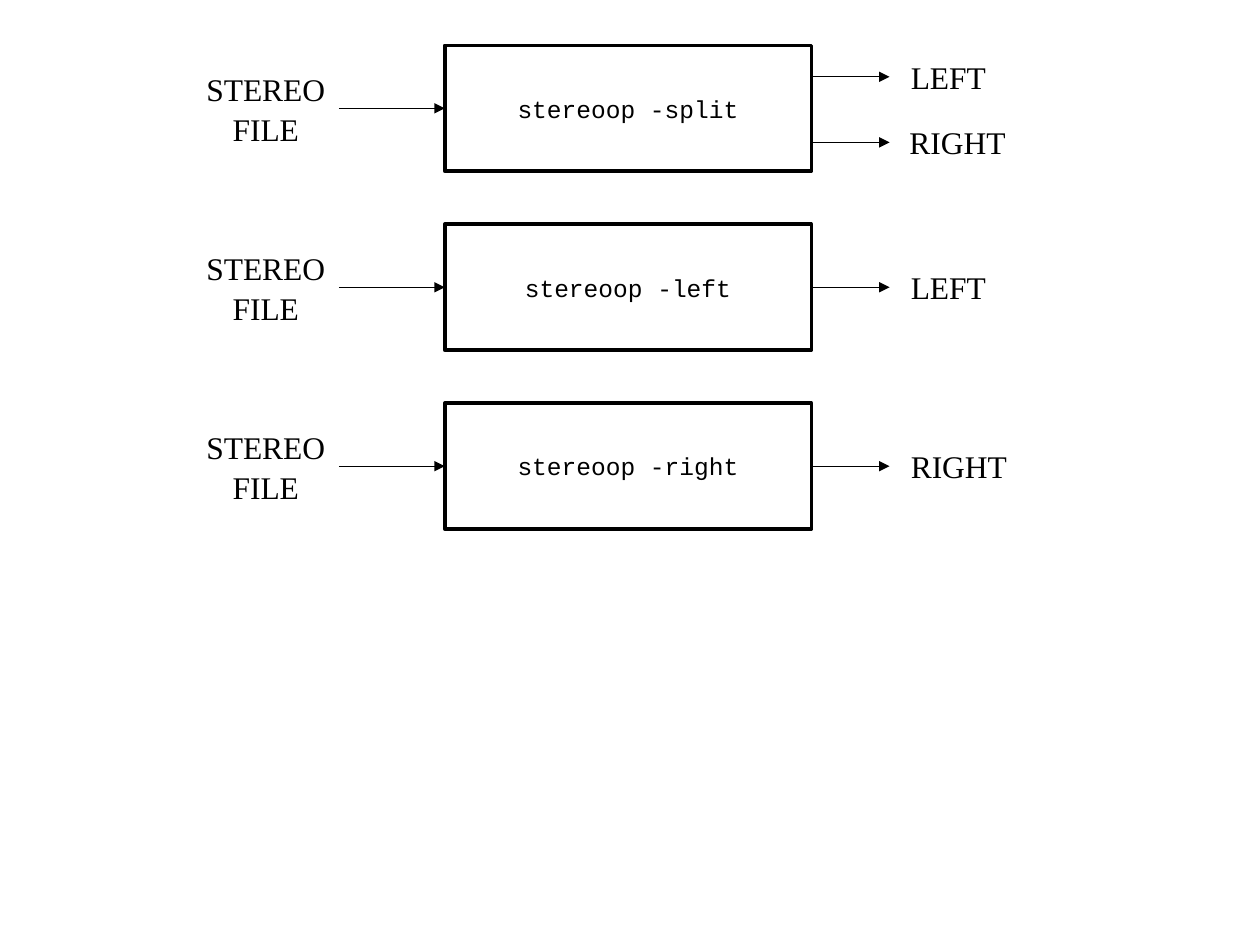
import pptx
import pptx.util
import pptx.dml.color
import pptx.enum.shapes
import pptx.enum.text
import pptx.oxml.ns
import lxml.etree

Inches = pptx.util.Inches
Pt = pptx.util.Pt
qn = pptx.oxml.ns.qn

FLOWS = [
    ("stereoop -split", [("LEFT", 7.13, 0.81, -0.25), ("RIGHT", 7.12, 0.97, 0.27)]),
    ("stereoop -left", [("LEFT", 7.13, 0.81, 0)]),
    ("stereoop -right", [("RIGHT", 7.13, 1.21, 0)]),
]
SOURCE = ["STEREO", "FILE"]

THEME = {
    "ink": pptx.dml.color.RGBColor(0, 0, 0),
    "paper": pptx.dml.color.RGBColor(255, 255, 255),
    "label": {"font": "Times New Roman", "size": 18},
    "code": {"font": "Courier New", "size": 14},
    "frame": 2,
    "wire": 0.75,
}
TOP, STEP, TALL = 0.36, 1.42, 1
SRC_X, SRC_W = 1.53, 1.16
BOX_X, BOX_W = 3.53, 2.91
TIP_X, OUT_H = 7.06, 0.5


def write(shape, lines, font, size, center=True, space=1.0):
    frame = shape.text_frame
    frame.word_wrap = True
    frame.vertical_anchor = pptx.enum.text.MSO_ANCHOR.MIDDLE
    frame.margin_left = Inches(0 if center else 0.1)
    frame.margin_right = 0
    kind = pptx.enum.text.PP_ALIGN
    for i, line in enumerate(lines):
        para = frame.add_paragraph() if i else frame.paragraphs[0]
        para.alignment = kind.CENTER if center else kind.LEFT
        para.line_spacing = space
        run = para.add_run()
        run.text = line
        run.font.name = font
        run.font.size = Pt(size)
        run.font.color.rgb = THEME["ink"]


def label(group, lines, x, y, w, h, **form):
    box = group.shapes.add_textbox(Inches(x), Inches(y), Inches(w), Inches(h))
    write(box, lines, **THEME["label"], **form)


def arrow(group, start, end, y):
    line = group.shapes.add_connector(
        pptx.enum.shapes.MSO_CONNECTOR.STRAIGHT,
        Inches(start), Inches(y), Inches(end), Inches(y))
    line.line.color.rgb = THEME["ink"]
    line.line.width = Pt(THEME["wire"])
    props = line._element.find(qn("p:spPr"))
    lxml.etree.SubElement(props.find(qn("a:ln")), qn("a:tailEnd"), type="triangle")
    lxml.etree.SubElement(props, qn("a:effectLst"))


def process(group, text, y):
    box = group.shapes.add_shape(
        pptx.enum.shapes.MSO_SHAPE.RECTANGLE,
        Inches(BOX_X), Inches(y), Inches(BOX_W), Inches(TALL))
    box.shadow.inherit = False
    box.fill.solid()
    box.fill.fore_color.rgb = THEME["paper"]
    box.line.color.rgb = THEME["ink"]
    box.line.width = Pt(THEME["frame"])
    write(box, [text], **THEME["code"])


deck = pptx.Presentation()
deck.slide_width, deck.slide_height = Inches(10), Inches(7.5)
slide = deck.slides.add_slide(deck.slide_layouts[6])

for row, (command, outs) in enumerate(FLOWS):
    top = TOP + row * STEP
    mid = top + TALL / 2
    group = slide.shapes.add_group_shape()
    for text, x, w, shift in outs:
        label(group, [text], x, mid + shift - OUT_H / 2, w, OUT_H, center=False)
    process(group, command, top)
    label(group, SOURCE, SRC_X, top, SRC_W, TALL, space=1.05)
    arrow(group, SRC_X + SRC_W, BOX_X, mid)
    for text, x, w, shift in outs:
        arrow(group, BOX_X + BOX_W, TIP_X, mid + shift)

deck.save("out.pptx")
